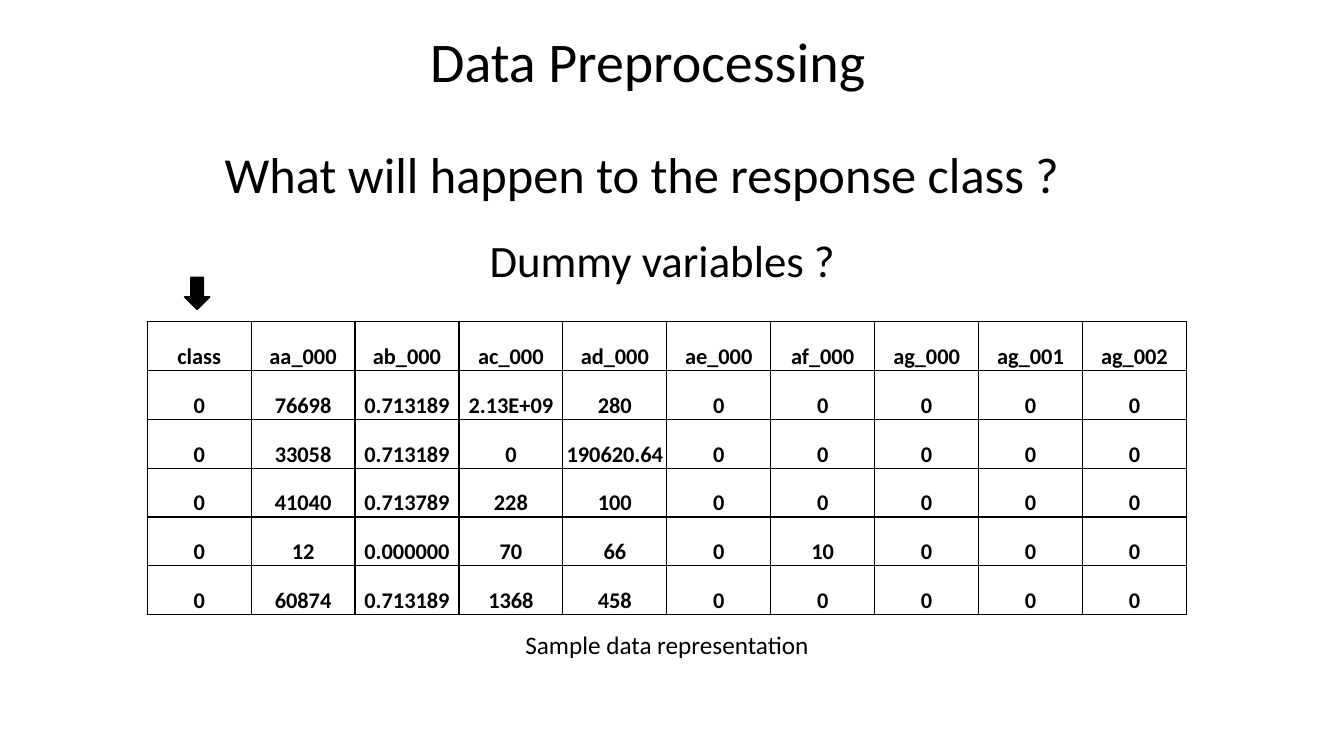
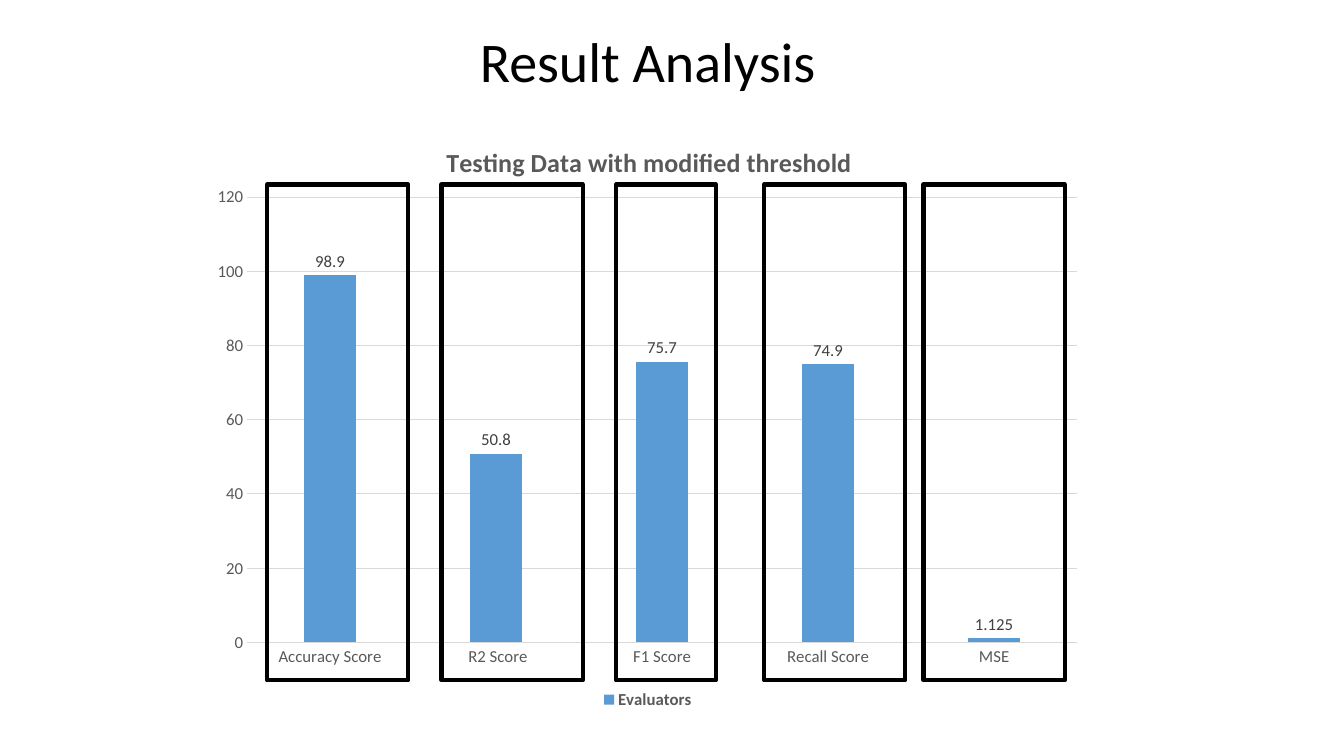
from dataclasses import dataclass

from lxml import etree
from pptx import Presentation
from pptx.chart.chart import Chart
from pptx.chart.data import CategoryChartData
from pptx.dml.color import RGBColor
from pptx.enum.chart import XL_CHART_TYPE, XL_LABEL_POSITION, XL_LEGEND_POSITION, XL_TICK_MARK
from pptx.enum.shapes import MSO_SHAPE
from pptx.enum.text import MSO_ANCHOR, MSO_AUTO_SIZE, PP_ALIGN
from pptx.oxml import parse_xml
from pptx.oxml.ns import nsdecls, qn
from pptx.slide import Slide
from pptx.table import _Cell
from pptx.text.text import Font, TextFrame
from pptx.util import Inches, Pt

# Shared style
FONT_NAME = "Calibri"
BLACK = RGBColor(0x00, 0x00, 0x00)
BAR_BLUE = RGBColor(0x5B, 0x9B, 0xD5)
CHART_GRAY = RGBColor(0x59, 0x59, 0x59)
LABEL_GRAY = RGBColor(0x40, 0x40, 0x40)
GRID_GRAY = RGBColor(0xD9, 0xD9, 0xD9)

CENTER = PP_ALIGN.CENTER
BOTTOM = MSO_ANCHOR.BOTTOM
FIT_SHAPE = MSO_AUTO_SIZE.SHAPE_TO_FIT_TEXT
DOWN_ARROW = MSO_SHAPE.DOWN_ARROW
RECTANGLE = MSO_SHAPE.RECTANGLE
CLUSTERED = XL_CHART_TYPE.COLUMN_CLUSTERED
OUTSIDE_END = XL_LABEL_POSITION.OUTSIDE_END
LEGEND_BOTTOM = XL_LEGEND_POSITION.BOTTOM
NO_TICK = XL_TICK_MARK.NONE
TITLE_ONLY_LAYOUT = 5


@dataclass(frozen=True)
class Box:
    left: float
    top: float
    width: float
    height: float

    def lengths(self) -> tuple[int, int, int, int]:
        return Inches(self.left), Inches(self.top), Inches(self.width), Inches(self.height)


@dataclass(frozen=True)
class Label:
    text: str
    box: Box
    size: float
    wrap: bool = True


@dataclass(frozen=True)
class Highlight:
    left: float
    width: float = 1.4


TITLE_BOX = Box(2.46, 0.21, 7.93, 0.77)
TABLE_BOX = Box(1.46, 3.19, 10.31, 2.91)
ARROW_BOX = Box(1.83, 2.75, 0.25, 0.32)
CHART_BOX = Box(1.98, 1.15, 8.89, 5.93)
HIGHLIGHT_TOP, HIGHLIGHT_HEIGHT = 1.83, 4.92

LABELS = [
    Label("What will happen to the response class ? ", Box(0.18, 1.37, 12.49, 0.71), 36),
    Label("Dummy variables ? ", Box(0.39, 2.26, 12.46, 0.64), 32),
    Label("Sample data representation", Box(5.09, 6.19, 3.05, 0.4), 18, wrap=False),
]

SAMPLE_ROWS = [
    ["class", "aa_000", "ab_000", "ac_000", "ad_000",
     "ae_000", "af_000", "ag_000", "ag_001", "ag_002"],
    ["0", "76698", "0.713189", "2.13E+09", "280", "0", "0", "0", "0", "0"],
    ["0", "33058", "0.713189", "0", "190620.64", "0", "0", "0", "0", "0"],
    ["0", "41040", "0.713789", "228", "100", "0", "0", "0", "0", "0"],
    ["0", "12", "0.000000", "70", "66", "0", "10", "0", "0", "0"],
    ["0", "60874", "0.713189", "1368", "458", "0", "0", "0", "0", "0"],
]

SCORES = {
    "Accuracy Score": 98.9,
    " R2 Score": 50.8,
    "F1 Score": 75.7,
    "Recall Score": 74.9,
    "MSE": 1.125,
}

HIGHLIGHTS = [
    Highlight(2.65), Highlight(4.38), Highlight(6.11, 0.99), Highlight(7.58), Highlight(9.16),
]


def style_font(font: Font, size: float, color: RGBColor = BLACK, bold: bool = False) -> None:
    font.name = FONT_NAME
    font.size = Pt(size)
    font.bold = bold
    font.color.rgb = color


def write_centered(text_frame: TextFrame, text: str, size: float, bold: bool = False) -> None:
    text_frame.text = text
    paragraph = text_frame.paragraphs[0]
    paragraph.alignment = CENTER
    style_font(paragraph.runs[0].font, size, bold=bold)


def add_titled_slide(presentation: Presentation, title: str) -> Slide:
    slide = presentation.slides.add_slide(presentation.slide_layouts[TITLE_ONLY_LAYOUT])
    shape = slide.shapes.title
    shape.left, shape.top, shape.width, shape.height = TITLE_BOX.lengths()
    write_centered(shape.text_frame, title, 40)
    shape.text_frame.auto_size = FIT_SHAPE
    return slide


def add_label(slide: Slide, label: Label) -> None:
    text_frame = slide.shapes.add_textbox(*label.box.lengths()).text_frame
    text_frame.word_wrap = label.wrap
    text_frame.auto_size = FIT_SHAPE
    write_centered(text_frame, label.text, label.size)


def add_outlined_shape(slide: Slide, kind: MSO_SHAPE, box: Box, line_width: float,
                       fill: RGBColor | None = None) -> None:
    shape = slide.shapes.add_shape(kind, *box.lengths())
    shape.shadow.inherit = False
    if fill is None:
        shape.fill.background()
    else:
        shape.fill.solid()
        shape.fill.fore_color.rgb = fill
    shape.line.color.rgb = BLACK
    shape.line.width = Pt(line_width)


def set_cell_borders(cell: _Cell) -> None:
    properties = cell._tc.get_or_add_tcPr()
    for side in ("lnL", "lnR", "lnT", "lnB"):
        line = etree.SubElement(properties, qn(f"a:{side}"), w=str(Pt(1)))
        fill = etree.SubElement(line, qn("a:solidFill"))
        etree.SubElement(fill, qn("a:srgbClr"), val=str(BLACK))


def add_sample_table(slide: Slide) -> None:
    row_count, column_count = len(SAMPLE_ROWS), len(SAMPLE_ROWS[0])
    table = slide.shapes.add_table(row_count, column_count, *TABLE_BOX.lengths()).table
    table.first_row = False
    table.horz_banding = False
    for column in table.columns:
        column.width = Inches(TABLE_BOX.width / column_count)
    for row, values in zip(table.rows, SAMPLE_ROWS):
        row.height = Inches(TABLE_BOX.height / row_count)
        for cell, value in zip(row.cells, values):
            cell.margin_left = cell.margin_right = cell.margin_top = Inches(0.01)
            cell.margin_bottom = 0
            cell.vertical_anchor = BOTTOM
            write_centered(cell.text_frame, value, 16, bold=True)
            set_cell_borders(cell)
            cell.fill.background()


def set_manual_layout(element: etree._Element, index: int, settings: dict[str, str]) -> None:
    """Fix a chart part in place, in fractions of the chart area."""
    for layout in element.findall(qn("c:layout")):
        element.remove(layout)
    entries = "".join(f'<c:{name} val="{value}"/>' for name, value in settings.items())
    element.insert(index, parse_xml(
        f'<c:layout {nsdecls("c")}><c:manualLayout>{entries}</c:manualLayout></c:layout>'))


def style_axes(chart: Chart) -> None:
    for axis in (chart.category_axis, chart.value_axis):
        axis.major_tick_mark = axis.minor_tick_mark = NO_TICK
        style_font(axis.tick_labels.font, 12, CHART_GRAY)
    grid_line = chart.value_axis.major_gridlines.format.line
    for line in (chart.category_axis.format.line, grid_line):
        line.color.rgb = GRID_GRAY
        line.width = Pt(0.75)
    chart.value_axis.format.line.fill.background()
    chart.value_axis.minimum_scale = 0
    chart.value_axis.maximum_scale = 120
    chart.value_axis.major_unit = 20


def add_score_chart(slide: Slide) -> None:
    data = CategoryChartData()
    data.categories = list(SCORES)
    data.add_series("Evaluators", list(SCORES.values()))
    chart = slide.shapes.add_chart(CLUSTERED, *CHART_BOX.lengths(), data).chart
    style_font(chart.font, 10)

    # Title and legend
    title_frame = chart.chart_title.text_frame
    title_frame.text = "Testing Data with modified threshold"
    style_font(title_frame.paragraphs[0].runs[0].font, 18.6, CHART_GRAY, bold=True)
    chart.chart_title.include_in_layout = False
    chart.has_legend = True
    chart.legend.position = LEGEND_BOTTOM
    chart.legend.include_in_layout = False
    style_font(chart.legend.font, 12, CHART_GRAY, bold=True)

    # Columns and value labels
    style_axes(chart)
    plot = chart.plots[0]
    plot.gap_width = 219
    plot.overlap = -27
    plot.vary_by_categories = False
    series = plot.series[0]
    series.format.fill.solid()
    series.format.fill.fore_color.rgb = BAR_BLUE
    labels = series.data_labels
    labels.show_value = True
    labels.position = OUTSIDE_END
    style_font(labels.font, 12, LABEL_GRAY)

    # Positions inside the chart
    edges = {"xMode": "edge", "yMode": "edge"}
    set_manual_layout(chart.chart_title._element, 1, {**edges, "x": "0.27", "y": "0.04"})
    set_manual_layout(chart._chartSpace.chart.plotArea, 0, {
        "layoutTarget": "inner", **edges, "x": "0.053", "y": "0.136", "w": "0.926", "h": "0.745"})


def build_preprocessing_slide(presentation: Presentation) -> None:
    slide = add_titled_slide(presentation, "Data Preprocessing")
    for label in LABELS:
        add_label(slide, label)
    add_sample_table(slide)
    add_outlined_shape(slide, DOWN_ARROW, ARROW_BOX, 1, fill=BLACK)


def build_result_slide(presentation: Presentation) -> None:
    slide = add_titled_slide(presentation, "Result Analysis")
    add_score_chart(slide)
    for highlight in HIGHLIGHTS:
        box = Box(highlight.left, HIGHLIGHT_TOP, highlight.width, HIGHLIGHT_HEIGHT)
        add_outlined_shape(slide, RECTANGLE, box, 3)


def main() -> None:
    presentation = Presentation()
    presentation.slide_width = Inches(13.33)
    presentation.slide_height = Inches(7.5)
    build_preprocessing_slide(presentation)
    build_result_slide(presentation)
    presentation.save("out.pptx")


if __name__ == "__main__":
    main()
